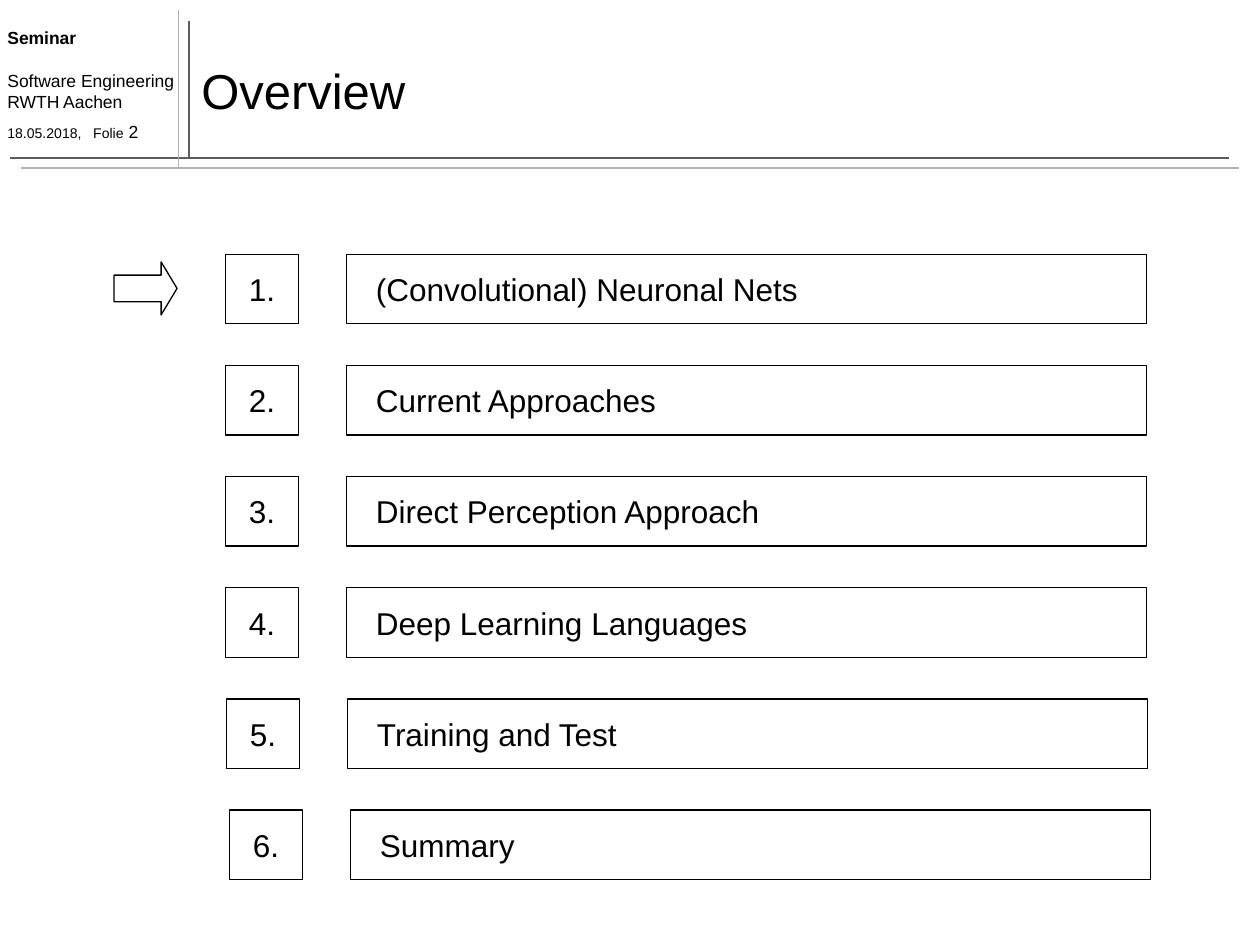
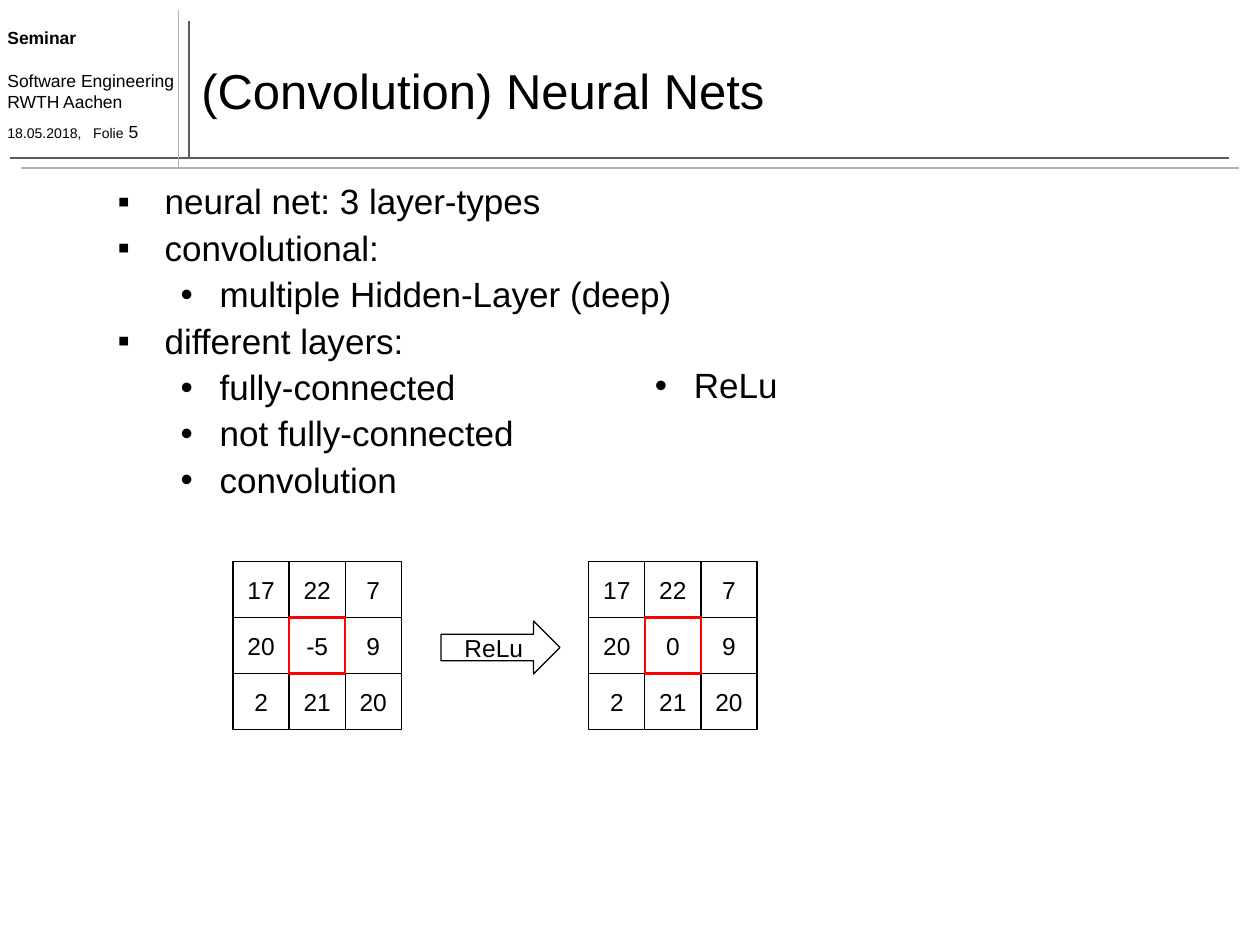
from dataclasses import dataclass

from lxml import etree
from pptx import Presentation
from pptx import util as u
from pptx.dml.color import RGBColor
from pptx.enum import shapes, text
from pptx.oxml import ns

Cm, Pt = u.Cm, u.Pt
RECT = shapes.MSO_SHAPE.RECTANGLE
ARROW = shapes.MSO_SHAPE.RIGHT_ARROW
LEFT, CENTER = text.PP_ALIGN.LEFT, text.PP_ALIGN.CENTER
TOP, MIDDLE = text.MSO_ANCHOR.TOP, text.MSO_ANCHOR.MIDDLE


@dataclass(frozen=True)
class Theme:
    font: str = "Arial"
    ink: str = "000000"
    paper: str = "FFFFFF"
    dark_rule: str = "5C5C5C"
    light_rule: str = "B2B2B2"
    highlight: str = "FF0000"
    title: float = 28
    bullet: float = 20
    agenda: float = 18
    cell: float = 14
    header: float = 10
    date: float = 8
    outline: float = 0.75
    heavy: float = 1.5


@dataclass(frozen=True)
class Box:
    x: float
    y: float
    w: float
    h: float

    def emu(self) -> list[int]:
        return [Cm(v) for v in (self.x, self.y, self.w, self.h)]


@dataclass(frozen=True)
class Rule:
    x1: float
    y1: float
    x2: float
    y2: float
    color: str


@dataclass(frozen=True)
class AgendaItem:
    label: str
    shift: float = 0


@dataclass(frozen=True)
class Bullet:
    label: str
    level: int = 0


@dataclass(frozen=True)
class BulletStyle:
    char: str
    left: float
    hang: float


THEME = Theme()
HEADER_RULES = [
    Rule(3.81, 3.18, 3.81, 0.42, THEME.dark_rule),
    Rule(0.21, 3.18, 24.77, 3.18, THEME.dark_rule),
    Rule(0.42, 3.39, 24.98, 3.39, THEME.light_rule),
    Rule(3.6, 3.39, 3.6, 0.21, THEME.light_rule),
]
BULLET_STYLES = [BulletStyle("▪", 0.95, 0.95), BulletStyle("•", 2.06, 0.79)]
AGENDA = [
    AgendaItem("(Convolutional) Neuronal Nets"),
    AgendaItem("Current Approaches"),
    AgendaItem("Direct Perception Approach"),
    AgendaItem("Deep Learning Languages"),
    AgendaItem("Training and Test", 0.02),
    AgendaItem("Summary", 0.08),
]
BULLETS = [
    Bullet("neural net: 3 layer-types"),
    Bullet("convolutional:"),
    Bullet("multiple Hidden-Layer (deep)", 1),
    Bullet("different layers:"),
    Bullet("fully-connected", 1),
    Bullet("not fully-connected", 1),
    Bullet("convolution", 1),
]
MATRIX = [[17, 22, 7], [20, -5, 9], [2, 21, 20]]


def add_run(p, content: str, size: float, bold: bool = False) -> None:
    r = p.add_run()
    r.text = content
    r.font.name = THEME.font
    r.font.size = Pt(size)
    r.font.bold = bold
    r.font.color.rgb = RGBColor.from_string(THEME.ink)


def write(tf, content: str, *, size: float, bold: bool = False, align=LEFT,
          before: float = 0, spacing: float = 1.0):
    first = tf.paragraphs[0]
    p = tf.add_paragraph() if first.runs else first
    p.alignment = align
    p.space_before = Pt(before)
    p.line_spacing = spacing
    add_run(p, content, size, bold)
    return p


def add_text_box(slide, box: Box, anchor=TOP):
    tf = slide.shapes.add_textbox(*box.emu()).text_frame
    tf.word_wrap = True
    tf.vertical_anchor = anchor
    return tf


def add_outline(slide, kind, box: Box, label: str = "", *, size: float = THEME.cell,
                align=CENTER, inset: float = 0, fill: str | None = None,
                line: str = THEME.ink, width: float = THEME.outline):
    sp = slide.shapes.add_shape(kind, *box.emu())
    sp.shadow.inherit = False
    if fill:
        sp.fill.solid()
        sp.fill.fore_color.rgb = RGBColor.from_string(fill)
    else:
        sp.fill.background()
    sp.line.color.rgb = RGBColor.from_string(line)
    sp.line.width = Pt(width)
    if label:
        tf = sp.text_frame
        tf.word_wrap = True
        tf.vertical_anchor = MIDDLE
        tf.margin_left, tf.margin_right = Cm(inset), 0
        write(tf, label, size=size, align=align)
    return sp


def add_rule(slide, rule: Rule) -> None:
    ends = [Cm(v) for v in (rule.x1, rule.y1, rule.x2, rule.y2)]
    line = slide.shapes.add_connector(shapes.MSO_CONNECTOR.STRAIGHT, *ends)
    line.line.color.rgb = RGBColor.from_string(rule.color)
    line.line.width = Pt(1)
    sp_pr = line._element.find(ns.qn("p:spPr"))
    etree.SubElement(sp_pr, ns.qn("a:effectLst"))


def add_tab_stop(p, position: float) -> None:
    tabs = etree.SubElement(p._p.get_or_add_pPr(), ns.qn("a:tabLst"))
    etree.SubElement(tabs, ns.qn("a:tab"), pos=str(Cm(position)), algn="l")


def add_bullets(slide, box: Box, bullets: list[Bullet]) -> None:
    tf = add_text_box(slide, box)
    for bullet in bullets:
        style = BULLET_STYLES[bullet.level]
        p = write(tf, bullet.label, size=THEME.bullet, before=4.9, spacing=0.9)
        p.level = bullet.level
        p_pr = p._p.get_or_add_pPr()
        p_pr.set("marL", str(Cm(style.left)))
        p_pr.set("indent", str(-Cm(style.hang)))
        etree.SubElement(p_pr, ns.qn("a:buFont"), typeface=THEME.font)
        etree.SubElement(p_pr, ns.qn("a:buChar"), char=style.char)


def add_slide(prs, title: str, number: int):
    slide = prs.slides.add_slide(prs.slide_layouts[6])
    for rule in HEADER_RULES:
        add_rule(slide, rule)
    tf = add_text_box(slide, Box(-0.1, 0.43, 3.91, 2.62))
    write(tf, "Seminar", size=THEME.header, bold=True)
    write(tf, "Software Engineering", size=THEME.header, before=12)
    write(tf, "RWTH Aachen", size=THEME.header)
    p = write(tf, "18.05.2018,\tFolie", size=THEME.date, before=5.5)
    add_run(p, f" {number}", THEME.header)
    add_tab_stop(p, 1.73)
    write(add_text_box(slide, Box(3.81, 0.64, 21.17, 2.33), MIDDLE), title, size=THEME.title)
    return slide


def add_agenda(slide, items: list[AgendaItem]) -> None:
    top, pitch, height = 5.13, 2.24, 1.4
    for i, item in enumerate(items):
        y = top + i * pitch
        add_outline(slide, RECT, Box(4.55 + item.shift, y, 1.47, height),
                    f"{i + 1}.", size=THEME.agenda)
        add_outline(slide, RECT, Box(6.99 + item.shift, y, 16.13, height),
                    item.label, size=THEME.agenda, align=LEFT, inset=0.59)
    marker = add_outline(slide, ARROW, Box(2.3, 5.28, 1.27, 1.07))
    marker.adjustments[1] = 0.3


def add_matrix(slide, x: float, y: float, values: list[list[int]]) -> None:
    side, center = 1.13, (1, 1)
    cells = [(r, c) for r in range(3) for c in range(3) if (r, c) != center]
    for r, c in cells + [center]:
        marked = (r, c) == center
        add_outline(slide, RECT, Box(x + c * side, y + r * side, side, side),
                    str(values[r][c]), fill=THEME.paper,
                    line=THEME.highlight if marked else THEME.ink,
                    width=THEME.heavy if marked else THEME.outline)


def main() -> None:
    prs = Presentation()
    prs.slide_width, prs.slide_height = Cm(25.4), Cm(19.05)

    add_agenda(add_slide(prs, "Overview", 2), AGENDA)

    nets = add_slide(prs, "(Convolution) Neural Nets", 5)
    add_bullets(nets, Box(2.12, 3.6, 22.86, 5.42), BULLETS)
    add_bullets(nets, Box(11.68, 7.3, 7.24, 2), [Bullet("ReLu", 1)])
    rectified = [[max(value, 0) for value in row] for row in MATRIX]
    add_matrix(nets, 4.7, 11.32, MATRIX)
    add_matrix(nets, 11.87, 11.32, rectified)
    add_outline(nets, ARROW, Box(8.89, 12.52, 2.4, 1.07), "ReLu", fill=THEME.paper)

    prs.save("out.pptx")


if __name__ == "__main__":
    main()
